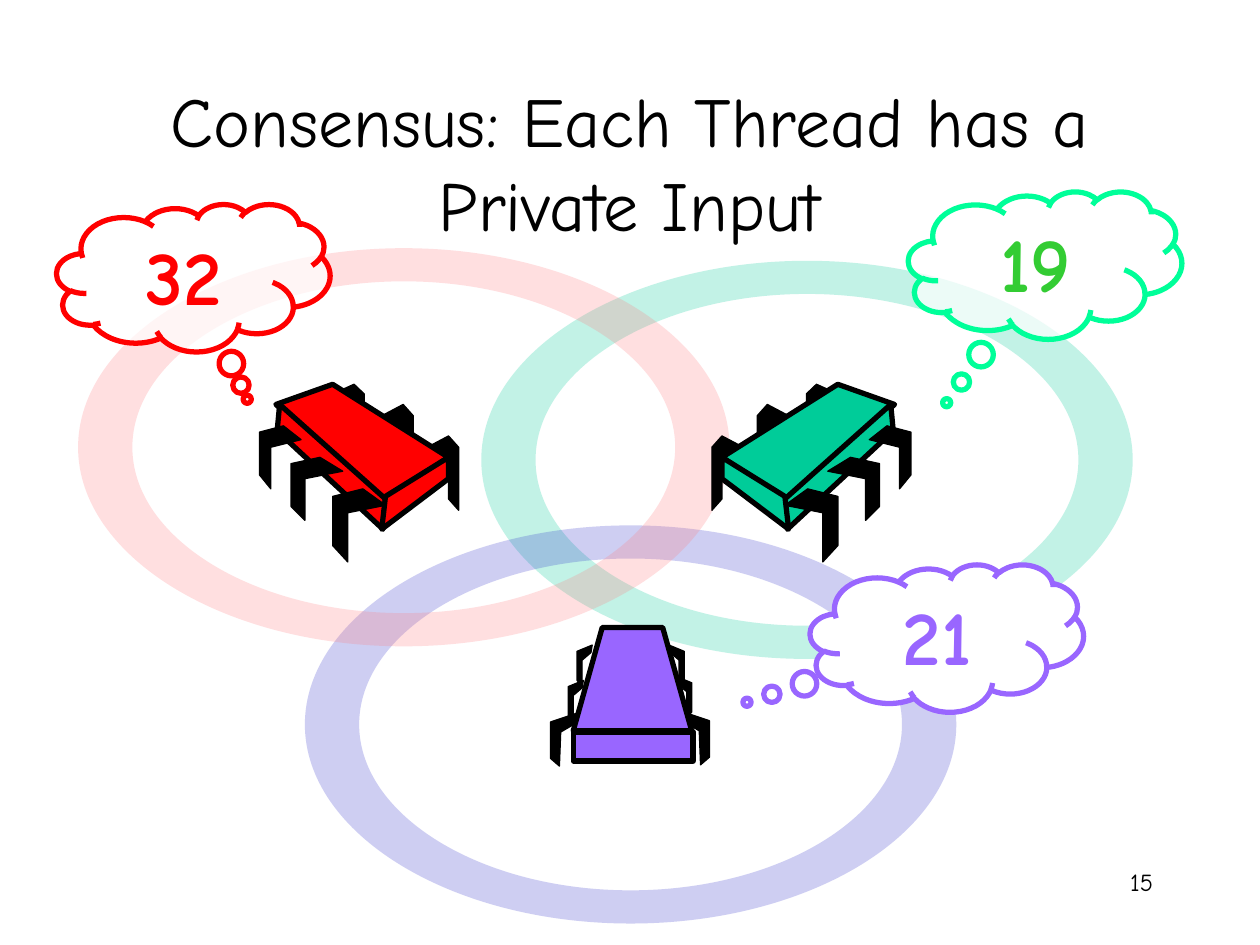
"""Builds a slide of three threads, each with a private input to consensus."""
from dataclasses import dataclass

from lxml import etree
from pptx import Presentation
from pptx.dml.color import RGBColor
from pptx.enum.shapes import MSO_SHAPE
from pptx.enum.text import MSO_ANCHOR, PP_ALIGN
from pptx.oxml.ns import qn
from pptx.util import Inches, Pt

CLOUD, RECT = MSO_SHAPE.CLOUD_CALLOUT, MSO_SHAPE.RECTANGLE
CENTER, RIGHT = PP_ALIGN.CENTER, PP_ALIGN.RIGHT
TOP, MIDDLE = MSO_ANCHOR.TOP, MSO_ANCHOR.MIDDLE
FONT = "Comic Neue"
BLACK, WHITE, RED, GREEN, PURPLE = "000000", "FFFFFF", "FF0000", "00CC99", "9966FF"
RING_W, RING_H = 5.17, 3.16
HOLE = 5 / 6
BEND = 0.55
CLOUD_W, CLOUD_H = 2.17, 1.17
SIDE_MIRROR, FRONT_MIRROR = 9.29, 10
Points = list[tuple[float, float]]


@dataclass
class Ring:
    x: float
    y: float
    color: str


@dataclass
class Thought:
    x: float
    y: float
    tail: tuple[float, float]
    text: str
    line: str
    color: str
    opacity: int


@dataclass
class Part:
    points: Points
    is_body: bool = False


RINGS = [Ring(3.82, 2.07, GREEN), Ring(2.42, 4.17, "3333CC"), Ring(0.62, 1.97, "FF7C80")]
THOUGHTS = [
    Thought(0.45, 1.62, (0.197, 0.824), "32", RED, RED, 70),
    Thought(7.21, 1.52, (-0.36, 0.933), "19", "00FF99", "33CC33", 70),
    Thought(6.43, 4.48, (-0.731, 0.435), "21", PURPLE, PURPLE, 100),
]

FAR_LEG = [(0, 0.09), (0.17, 0), (0.25, 0.09), (0.25, 0.59), (0.17, 0.5), (0.17, 0.17), (0, 0.25)]
FRONT_LEG = [(0, 0), (0.21, 0.07), (0.21, 0.36), (0.14, 0.42), (0.13, 0.15), (0.01, 0.08)]
SMALL_LEG = [(0, 0), (0.12, 0.05), (0.12, 0.28), (0.08, 0.33), (0.08, 0.12), (0.01, 0.06)]


def place(points: Points, x: float, y: float, sy: float = 1) -> Points:
    """Moves points to x, y and scales their height."""
    return [(x + px, y + py * sy) for px, py in points]


def mirror(points: Points, total: float) -> Points:
    """Flips points left to right about half of total."""
    return [(total - x, y) for x, y in points]


SIDE_THREAD = [
    Part(place(FAR_LEG, 3.39, 3.46)),
    Part(place(FAR_LEG, 3.03, 3.21)),
    Part(place(FAR_LEG, 2.64, 3.05, 0.85)),
    Part([(2.64, 3.05), (3.56, 3.63), (3.04, 3.97), (2.19, 3.21)], True),
    Part([(2.22, 3.21), (3.06, 3.96), (3.04, 4.2), (2.2, 3.42)], True),
    Part([(3.56, 3.63), (3.56, 3.8), (3.03, 4.2), (3.06, 3.94)], True),
    Part([(2.88, 3.88), (3.06, 4.01), (2.76, 4.07), (2.76, 4.46), (2.64, 4.33), (2.64, 3.94)]),
    Part([(2.54, 3.63), (2.72, 3.74), (2.42, 3.8), (2.42, 4.13), (2.31, 4.02), (2.31, 3.68)]),
    Part([(2.25, 3.38), (2.39, 3.49), (2.15, 3.55), (2.15, 3.88), (2.06, 3.77), (2.06, 3.43)]),
]
FRONT_THREAD = [
    Part(place(FRONT_LEG, 5.42, 5.65)),
    Part(place(SMALL_LEG, 5.37, 5.37)),
    Part(mirror(place(FRONT_LEG, 5.42, 5.66), FRONT_MIRROR)),
    Part(mirror(place(SMALL_LEG, 5.37, 5.4), FRONT_MIRROR)),
    Part([(4.55, 5.8), (4.78, 4.98), (5.26, 4.98), (5.49, 5.8)], True),
    Part([(4.55, 5.81), (5.5, 5.81), (5.5, 6.04), (4.55, 6.04)], True),
    Part(place(SMALL_LEG, 5.31, 5.12)),
    Part(mirror(place(SMALL_LEG, 5.3, 5.12), FRONT_MIRROR)),
]
FRONT_FACE = FRONT_THREAD[5]


def rgb(color: str) -> RGBColor:
    """Turns a hex string into a colour."""
    return RGBColor.from_string(color)


def paint(sp, fill: str, line: str = "", width: float = 0, opacity: int = 100) -> None:
    """Sets fill, outline and opacity, and drops the shadow."""
    sp.shadow.inherit = False
    sp.fill.solid()
    sp.fill.fore_color.rgb = rgb(fill)
    if opacity < 100:
        color = sp.fill._xPr.find(qn("a:solidFill"))[0]
        etree.SubElement(color, qn("a:alpha")).set("val", str(opacity * 1000))
    if line:
        sp.line.color.rgb = rgb(line)
        sp.line.width = Pt(width)
    else:
        sp.line.fill.background()


def write(sp, text: str, size: int, color: str, align, anchor, bold: bool = False) -> None:
    """Writes one paragraph into a shape."""
    tf = sp.text_frame
    tf.word_wrap = True
    tf.vertical_anchor = anchor
    p = tf.paragraphs[0]
    p.alignment = align
    r = p.add_run()
    r.text = text
    r.font.name, r.font.size, r.font.bold = FONT, Pt(size), bold
    r.font.color.rgb = rgb(color)


def outline(shapes, *contours: Points):
    """Draws closed contours as one freeform."""
    paths = [[(Inches(x), Inches(y)) for x, y in contour] for contour in contours]
    builder = shapes.build_freeform(*paths[0][0])
    for i, path in enumerate(paths):
        if i:
            builder.move_to(*path[0])
        builder.add_line_segments(path[1:], close=True)
    return builder.convert_to_shape()


def ellipse(cx: float, cy: float, share: float, turn: int) -> Points:
    """Gives Bezier points of a ring edge, clockwise or back."""
    unit, (x, y) = [(-1, 0)], (-1, 0)
    for _ in range(4):
        nx, ny = -y * turn, x * turn
        unit += [(x + BEND * nx, y + BEND * ny), (nx + BEND * x, ny + BEND * y), (nx, ny)]
        x, y = nx, ny
    return [(cx + RING_W / 2 * share * ux, cy + RING_H / 2 * share * uy) for ux, uy in unit]


def curve(sp) -> None:
    """Joins every three straight segments into one Bezier curve."""
    lines = list(sp._element.iter(qn("a:lnTo")))
    for first, second, third in zip(lines[::3], lines[1::3], lines[2::3]):
        first.addprevious(bezier := first.makeelement(qn("a:cubicBezTo")))
        for line in (first, second, third):
            bezier.append(line[0])
            line.getparent().remove(line)


def add_ring(s, ring: Ring) -> None:
    """Draws a translucent ring."""
    cx, cy = ring.x + RING_W / 2, ring.y + RING_H / 2
    sp = outline(s.shapes, ellipse(cx, cy, 1, 1), ellipse(cx, cy, HOLE, -1))
    curve(sp)
    paint(sp, ring.color, opacity=24)


def add_thread(s, parts: list[Part], color: str, flip: float = 0) -> None:
    """Draws a thread as a group of legs and body faces."""
    shapes = s.shapes.add_group_shape().shapes
    for part in parts:
        if part is FRONT_FACE:
            (x, y), (right, bottom) = part.points[0], part.points[2]
            sp = shapes.add_shape(RECT, *map(Inches, (x, y, right - x, bottom - y)))
        else:
            sp = outline(shapes, mirror(part.points, flip) if flip else part.points)
        paint(sp, color if part.is_body else BLACK, BLACK, 3 if part.is_body else 0.75)


def add_thought(s, t: Thought) -> None:
    """Draws a thought cloud with its number."""
    sp = s.shapes.add_shape(CLOUD, *map(Inches, (t.x, t.y, CLOUD_W, CLOUD_H)))
    sp.adjustments[0], sp.adjustments[1] = t.tail
    paint(sp, WHITE, t.line, 3, t.opacity)
    write(sp, t.text, 44, t.color, CENTER, MIDDLE, True)


def add_text(s, box: tuple, text: str, size: int, align, anchor) -> None:
    """Adds a text box."""
    write(s.shapes.add_textbox(*map(Inches, box)), text, size, BLACK, align, anchor)


def main() -> None:
    """Builds and saves the slide."""
    prs = Presentation()
    prs.slide_width, prs.slide_height = Inches(10), Inches(7.5)
    s = prs.slides.add_slide(prs.slide_layouts[6])
    add_text(s, (7.17, 6.83, 2.08, 0.5), "15", 14, RIGHT, TOP)
    for ring in RINGS[:2]:
        add_ring(s, ring)
    title = "Consensus: Each Thread has a Private Input"
    add_text(s, (0.75, 0.66, 8.5, 1.25), title, 40, CENTER, MIDDLE)
    add_ring(s, RINGS[2])
    add_thread(s, FRONT_THREAD, PURPLE)
    for thought in THOUGHTS[:2]:
        add_thought(s, thought)
    add_thread(s, SIDE_THREAD, RED)
    add_thread(s, SIDE_THREAD, GREEN, SIDE_MIRROR)
    add_thought(s, THOUGHTS[2])
    prs.save("out.pptx")


main()
